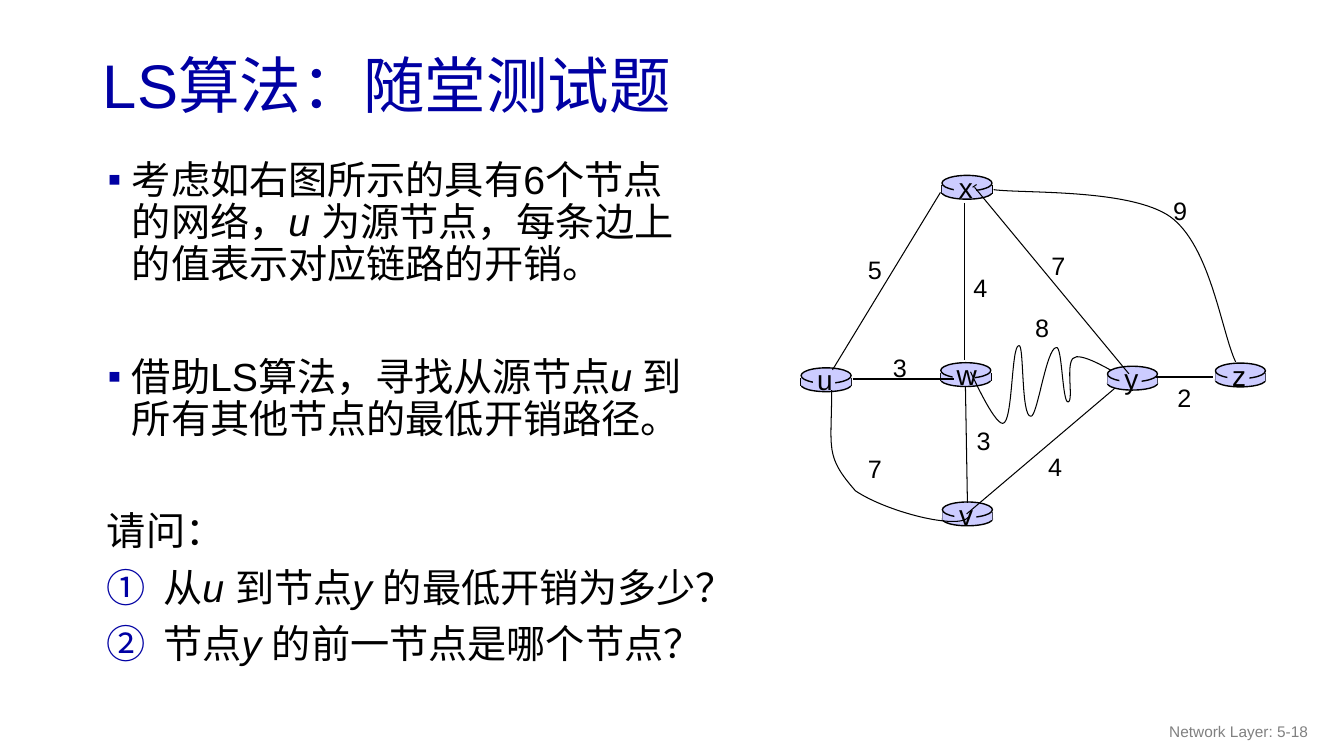
from dataclasses import dataclass

from lxml import etree
from pptx import Presentation
from pptx.dml.color import RGBColor
from pptx.enum.shapes import MSO_CONNECTOR, MSO_SHAPE
from pptx.enum.text import MSO_ANCHOR, MSO_AUTO_SIZE, PP_ALIGN
from pptx.oxml.ns import qn
from pptx.util import Cm, Pt

STRAIGHT = MSO_CONNECTOR.STRAIGHT
OVAL, RECT = MSO_SHAPE.OVAL, MSO_SHAPE.RECTANGLE
TOP, MIDDLE = MSO_ANCHOR.TOP, MSO_ANCHOR.MIDDLE
LEFT, CENTER, RIGHT = PP_ALIGN.LEFT, PP_ALIGN.CENTER, PP_ALIGN.RIGHT
NO_AUTOFIT = MSO_AUTO_SIZE.NONE
Point = tuple[float, float]


@dataclass(frozen=True)
class Theme:
    font: str = "Arial"
    accent: str = "0000A3"
    ink: str = "000000"
    router: str = "CCCCFF"
    muted: str = "808080"
    title: int = 44
    body: int = 28
    node: int = 20
    cost: int = 18
    footer: int = 11
    outline: float = 1
    link: float = 0.75


@dataclass(frozen=True)
class Router:
    name: str
    x: float
    y: float


@dataclass(frozen=True)
class Link:
    """Two points make a straight link; more are Bézier points."""
    points: tuple[Point, ...]


@dataclass(frozen=True)
class Cost:
    text: str
    x: float
    y: float


@dataclass(frozen=True)
class Item:
    """A body paragraph; every second run is an italic node name."""
    runs: tuple[str, ...]
    bullet: str = ""
    margin: float = 0.36
    indent: float = 0
    before: int = 10


THEME = Theme()
SQUARE, CIRCLED = "▪", "circleNumDbPlain"

ITEMS = [
    Item(("考虑如右图所示的具有6个节点的网络，", "u ", "为源节点，每条边上的值表示对应链路的开销。"),
         SQUARE, 0.99, -0.61, 0),
    Item(("借助LS算法，寻找从源节点", "u ", "到所有其他节点的最低开销路径。"),
         SQUARE, 0.99, -0.61, 50),
    Item(("请问：",), before=50),
    Item(("从", "u ", "到节点", "y ", "的最低开销为多少？"), CIRCLED, 1.78, -1.42),
    Item(("节点", "y ", "的前一节点是哪个节点？"), CIRCLED, 1.78, -1.42),
]
BACK_ROUTERS = [Router("w", 23.71, 9.14), Router("v", 23.75, 12.65),
                Router("x", 23.74, 4.42), Router("u", 20.19, 9.27)]
FRONT_ROUTERS = [Router("y", 27.91, 9.23), Router("z", 30.63, 9.15)]
BACK_LINKS = [
    Link(((21.49, 9.55), (24.03, 9.55))),
    Link(((24.31, 5.11), (24.31, 9.07))),
    Link(((23.7, 4.85), (20.98, 9.32))),
    Link(((24.33, 9.75), (24.38, 12.67))),
    Link(((20.96, 9.83), (20.96, 11.33), (20.78, 11.48), (21.56, 12.37),
          (22.35, 12.9), (24.16, 13.36), (24.41, 13.03))),
    Link(((28.37, 9.55), (24.36, 12.95))),
    Link(((24.46, 9.37), (24.46, 9.37), (25.04, 10.67), (25.27, 10.67),
          (25.53, 10.67), (25.48, 8.69), (25.68, 8.71),
          (25.81, 8.66), (25.73, 10.52), (25.98, 10.49),
          (26.14, 10.52), (26.37, 8.76), (26.62, 8.76),
          (26.77, 8.69), (26.77, 10.16), (26.92, 10.13),
          (27.08, 10.08), (26.8, 8.99), (27.13, 8.99),
          (27.46, 8.97), (28.17, 9.45), (28.45, 9.58))),
]
FRONT_LINKS = [
    Link(((29.13, 9.5), (30.56, 9.5))),
    Link(((24.56, 4.72), (28.45, 9.42))),
    Link(((24.51, 4.72), (24.61, 4.65))),
    Link(((25.04, 4.78), (25.78, 4.88), (28.47, 4.75), (29.49, 5.46),
          (30.51, 6.2), (30.78, 8.36), (31.14, 9.12))),
]
COSTS = [
    Cost("3", 22.68, 9.25), Cost("4", 24.71, 7.24), Cost("5", 22.05, 6.78),
    Cost("3", 24.79, 11.1), Cost("7", 22.05, 11.81), Cost("4", 26.59, 11.76),
    Cost("8", 26.26, 8.26), Cost("2", 29.85, 10.01), Cost("7", 26.67, 6.68),
    Cost("9", 29.74, 5.31),
]


def color(value: str) -> RGBColor:
    return RGBColor.from_string(value)


def place(sp, x: float, y: float, w: float, h: float) -> None:
    sp.left, sp.top, sp.width, sp.height = Cm(x), Cm(y), Cm(w), Cm(h)


def add_run(p, text: str, size: int, ink: str, italic: bool = False) -> None:
    r = p.add_run()
    r.text = text
    r.font.name, r.font.size, r.font.italic = THEME.font, Pt(size), italic
    r.font.color.rgb = color(ink)


def add_line(s, start: Point, end: Point, width: float) -> None:
    cxn = s.shapes.add_connector(STRAIGHT, *(Cm(v) for v in start + end))
    cxn.line.color.rgb, cxn.line.width = color(THEME.ink), Pt(width)
    etree.SubElement(cxn._element.spPr, qn("a:effectLst"))


def add_curve(s, points: tuple[Point, ...]) -> None:
    emu = [(Cm(x), Cm(y)) for x, y in points]
    builder = s.shapes.build_freeform(*emu[0])
    builder.add_line_segments(emu[1:], close=False)
    sp = builder.convert_to_shape()
    sp.shadow.inherit = False
    sp.fill.background()
    sp.line.color.rgb, sp.line.width = color(THEME.ink), Pt(THEME.link)
    outline = sp._element.find(".//" + qn("a:path"))
    segments = outline.findall(qn("a:lnTo"))
    for i in range(0, len(segments), 3):
        bezier = etree.SubElement(outline, qn("a:cubicBezTo"))
        for segment in segments[i:i + 3]:
            bezier.append(segment[0])
            outline.remove(segment)


def add_link(s, link: Link) -> None:
    if len(link.points) == 2:
        add_line(s, *link.points, THEME.link)
    else:
        add_curve(s, link.points)


def add_part(s, kind, x: float, y: float, w: float, h: float) -> None:
    """Add a filled router part; only ovals are outlined."""
    sp = s.shapes.add_shape(kind, Cm(x), Cm(y), Cm(w), Cm(h))
    sp.shadow.inherit = False
    sp.fill.solid()
    sp.fill.fore_color.rgb = color(THEME.router)
    if kind == OVAL:
        sp.line.color.rgb, sp.line.width = color(THEME.ink), Pt(THEME.outline)
    else:
        sp.line.fill.background()


def add_label(s, text: str, x: float, y: float, size: int) -> None:
    """Add a one-letter label centred on x, y."""
    sp = s.shapes.add_textbox(Cm(x - 0.45), Cm(y - 0.55), Cm(0.9), Cm(1.1))
    tf = sp.text_frame
    tf.word_wrap, tf.vertical_anchor = False, MIDDLE
    p = tf.paragraphs[0]
    p.alignment = CENTER
    add_run(p, text, size, THEME.ink)


def add_router(s, router: Router) -> None:
    x, y, width = router.x, router.y, 1.26
    add_part(s, OVAL, x, y + 0.26, width, 0.34)
    for side in (x, x + width):
        add_line(s, (side, y + 0.25), (side, y + 0.46), THEME.outline)
    add_part(s, RECT, x, y + 0.25, width, 0.2)
    add_part(s, OVAL, x, y, width, 0.39)
    add_part(s, RECT, x + 0.3, y + 0.12, 0.56, 0.43)
    add_label(s, router.name, x + 0.6, y + 0.3, THEME.node)


def set_bullet(p, item: Item) -> None:
    pPr = p._p.get_or_add_pPr()
    pPr.set("marL", str(Cm(item.margin)))
    pPr.set("indent", str(Cm(item.indent)))
    if not item.bullet:
        etree.SubElement(pPr, qn("a:buNone"))
        return
    clr = etree.SubElement(pPr, qn("a:buClr"))
    etree.SubElement(clr, qn("a:srgbClr"), val=THEME.accent)
    etree.SubElement(pPr, qn("a:buFont"), typeface=THEME.font)
    if item.bullet == CIRCLED:
        etree.SubElement(pPr, qn("a:buAutoNum"), type=CIRCLED)
    else:
        etree.SubElement(pPr, qn("a:buChar"), char=item.bullet)


def fill_text(s) -> None:
    title, body = s.shapes.title, s.placeholders[1]
    place(title, 2.34, 0.99, 31.06, 2.49)
    place(body, 2.08, 3.91, 15.85, 13.61)
    for sp, anchor in ((title, MIDDLE), (body, TOP)):
        tf = sp.text_frame
        tf.word_wrap, tf.auto_size, tf.vertical_anchor = True, NO_AUTOFIT, anchor
    p = title.text_frame.paragraphs[0]
    p.alignment, p.line_spacing = LEFT, 0.9
    add_run(p, "LS算法：随堂测试题", THEME.title, THEME.accent)
    for i, item in enumerate(ITEMS):
        tf = body.text_frame
        p = tf.add_paragraph() if i else tf.paragraphs[0]
        set_bullet(p, item)
        p.line_spacing, p.space_before = 0.9, Pt(item.before)
        for j, text in enumerate(item.runs):
            add_run(p, text, THEME.body, THEME.ink, j % 2 == 1)


def add_footer(s) -> None:
    tf = s.shapes.add_textbox(Cm(25.6), Cm(17.91), Cm(7.62), Cm(1.02)).text_frame
    tf.word_wrap, tf.vertical_anchor = True, MIDDLE
    p = tf.paragraphs[0]
    p.alignment = RIGHT
    add_run(p, "Network Layer: 5-18", THEME.footer, THEME.muted)


def main() -> None:
    prs = Presentation()
    prs.slide_width, prs.slide_height = Cm(33.87), Cm(19.05)
    s = prs.slides.add_slide(prs.slide_layouts[1])
    fill_text(s)
    for routers, links in ((BACK_ROUTERS, BACK_LINKS), (FRONT_ROUTERS, FRONT_LINKS)):
        for router in routers:
            add_router(s, router)
        for link in links:
            add_link(s, link)
    for cost in COSTS:
        add_label(s, cost.text, cost.x, cost.y, THEME.cost)
    add_footer(s)
    prs.save("out.pptx")


if __name__ == "__main__":
    main()
